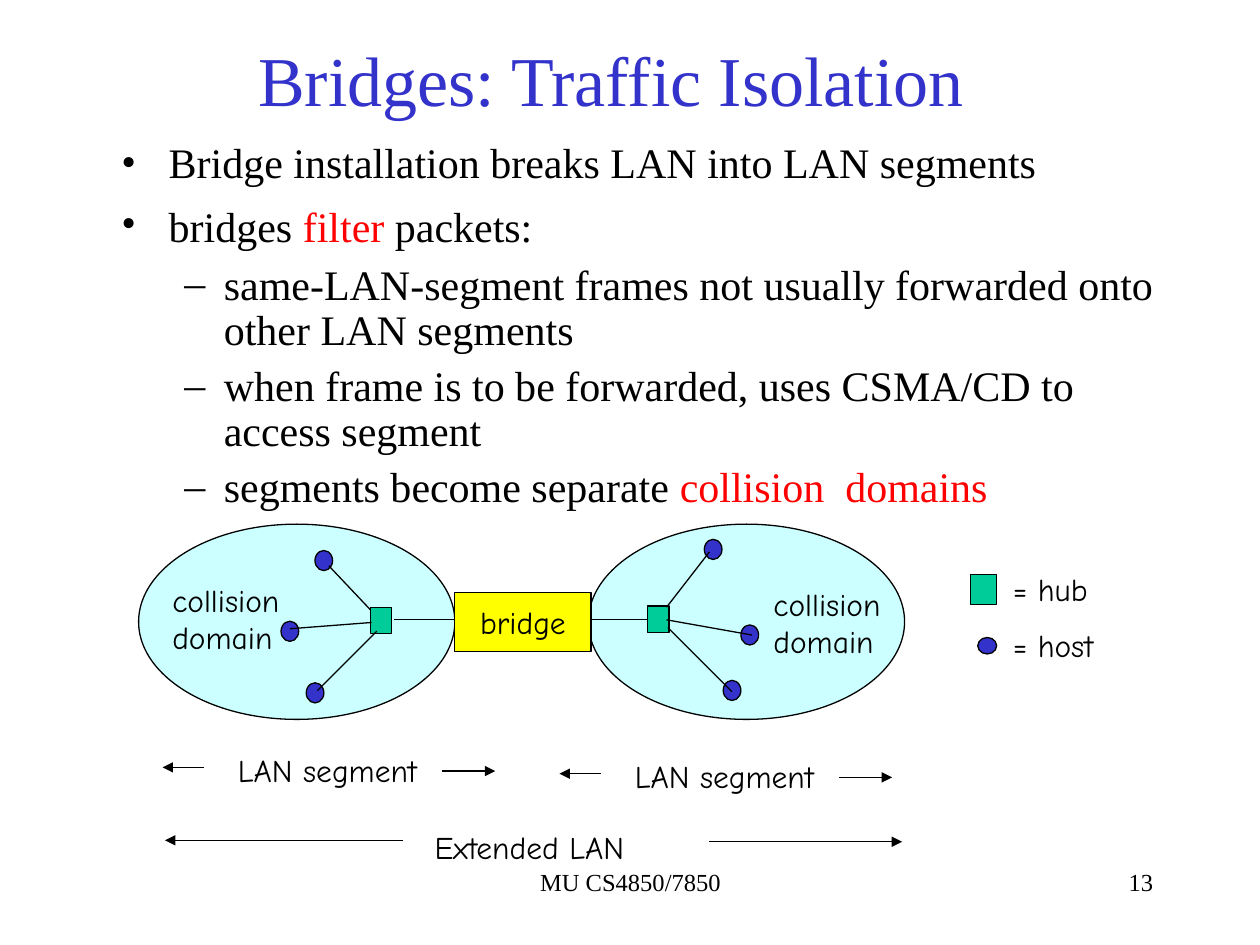
from lxml.etree import SubElement
from pptx import Presentation
from pptx.dml.color import RGBColor
from pptx.enum.shapes import MSO_CONNECTOR, MSO_SHAPE
from pptx.enum.text import MSO_ANCHOR, PP_ALIGN
from pptx.oxml.ns import qn
from pptx.util import Pt

COLORS = {
    "black": "000000",
    "title": "3333CC",
    "accent": "FF0000",
    "domain": "CCFFFF",
    "bridge": "FFFF00",
    "hub": "00CC99",
    "host": "3333CC",
}
SERIF = "Times New Roman"
SKETCH = "Comic Neue"

HUB_SIZE = (12.2, 15.1)
HOST_SIZE = (10.1, 11.5)

# Each bullet: level, space before, runs of (text, colour, size)
BULLETS = [
    (0, 6, [("Bridge installation breaks LAN into LAN segments", "black", 24)]),
    (0, 7, [("bridges ", "black", 24), ("filter", "accent", 24),
            (" packets:", "black", 24), (" ", "black", 28)]),
    (1, 6, [("same-LAN-segment frames not usually forwarded onto "
             "other LAN segments", "black", 24)]),
    (1, 6, [("when frame is to be forwarded, uses CSMA/CD to "
             "access segment", "black", 24)]),
    (1, 6, [("segments become separate ", "black", 24),
            ("collision  domains", "accent", 24)]),
]
# Bullet character, left margin and hanging indent by level
BULLET_STYLES = [("•", 27, -27), ("–", 58.5, -22.5)]

# Each segment: domain left, hub corner, bridge link, caption corner,
# host corners and the cables from hub to host
SEGMENTS = [
    {
        "domain": 79.2,
        "hub": (211.7, 347),
        "link": (225.4, 354.2, 259.2, 354.2),
        "caption": (91.4, 328.3),
        "hosts": [(180, 314.6), (160.6, 355), (175, 390.2)],
        "cables": [(211.7, 348.5, 187.9, 323.3),
                   (212.4, 355.7, 165.6, 359.3),
                   (215.3, 360.7, 181.4, 394.6)],
    },
    {
        "domain": 336.2,
        "hub": (370.1, 346.3),
        "link": (338.4, 354.2, 370.1, 354.2),
        "caption": (434.9, 330.5),
        "hosts": [(402.5, 308.2), (423.4, 357.1), (413.3, 388.8)],
        "cables": [(380.9, 347, 405.4, 315.4),
                   (380.9, 354.2, 429.8, 362.9),
                   (381.6, 358.6, 418.3, 395.3)],
    },
]


def rgb(name):
    return RGBColor.from_string(COLORS[name])


def style_run(run, font, size, color):
    run.font.name = font
    run.font.size = Pt(size)
    run.font.color.rgb = rgb(color)


def add_label(slide, text, box, size=18, font=SKETCH, color="black",
              align=PP_ALIGN.LEFT, anchor=MSO_ANCHOR.TOP, wrap=False):
    label = slide.shapes.add_textbox(*map(Pt, box))
    frame = label.text_frame
    frame.text = text
    frame.word_wrap = wrap
    frame.vertical_anchor = anchor
    for paragraph in frame.paragraphs:
        paragraph.alignment = align
        for run in paragraph.runs:
            style_run(run, font, size, color)


def add_node(slide, preset, corner, size, color):
    node = slide.shapes.add_shape(preset, *map(Pt, (*corner, *size)))
    node.shadow.inherit = False
    node.fill.solid()
    node.fill.fore_color.rgb = rgb(color)
    node.line.color.rgb = rgb("black")
    node.line.width = Pt(0.75)
    return node


def add_line(slide, ends, arrow=False):
    line = slide.shapes.add_connector(MSO_CONNECTOR.STRAIGHT, *map(Pt, ends))
    line.line.color.rgb = rgb("black")
    line.line.width = Pt(0.75)
    if arrow:
        SubElement(line.line._get_or_add_ln(), qn("a:tailEnd"), type="triangle")
    SubElement(line._element.spPr, qn("a:effectLst"))


def add_bullets(slide):
    body = slide.shapes.add_textbox(Pt(62.3), Pt(78), Pt(620.6), Pt(228.2))
    frame = body.text_frame
    frame.word_wrap = True
    for index, (level, space, parts) in enumerate(BULLETS):
        paragraph = frame.add_paragraph() if index else frame.paragraphs[0]
        paragraph.level = level
        paragraph.line_spacing = 0.9
        paragraph.space_before = Pt(space)
        mark, margin, indent = BULLET_STYLES[level]
        properties = paragraph._p.get_or_add_pPr()
        properties.set("marL", str(Pt(margin)))
        properties.set("indent", str(Pt(indent)))
        mark_color = SubElement(properties, qn("a:buClr"))
        SubElement(mark_color, qn("a:srgbClr"), val=COLORS["black"])
        SubElement(properties, qn("a:buFont"), typeface=SERIF)
        SubElement(properties, qn("a:buChar"), char=mark)
        for text, color, size in parts:
            run = paragraph.add_run()
            run.text = text
            style_run(run, SERIF, size, color)


def add_bridge(slide):
    bridge = add_node(slide, MSO_SHAPE.RECTANGLE, (259.9, 338.4),
                      (77.8, 33.8), "bridge")
    frame = bridge.text_frame
    frame.text = "bridge"
    frame.word_wrap = False
    frame.vertical_anchor = MSO_ANCHOR.MIDDLE
    frame.paragraphs[0].alignment = PP_ALIGN.CENTER
    style_run(frame.paragraphs[0].runs[0], SKETCH, 18, "black")


def add_network(slide):
    for segment in SEGMENTS:
        add_node(slide, MSO_SHAPE.OVAL, (segment["domain"], 299.5),
                 (180.7, 111.6), "domain")
    add_bridge(slide)
    for segment in SEGMENTS:
        add_node(slide, MSO_SHAPE.RECTANGLE, segment["hub"], HUB_SIZE, "hub")
        for host in segment["hosts"]:
            add_node(slide, MSO_SHAPE.OVAL, host, HOST_SIZE, "host")
        for ends in [segment["link"], *segment["cables"]]:
            add_line(slide, ends)
        add_label(slide, "collision\ndomain", (*segment["caption"], 81.4, 50.4))


def add_legend(slide):
    add_node(slide, MSO_SHAPE.RECTANGLE, (554.4, 328.3), (15.1, 17.3), "hub")
    add_node(slide, MSO_SHAPE.OVAL, (558.7, 364.3), (10.8, 9.4), "host")
    # Both labels are wide enough to stay on one line
    for text, top in [("= hub", 322.2), ("= host", 354.2)]:
        add_label(slide, text, (571.7, top, 64, 28.8))


def add_extents(slide):
    # The second segment's extent repeats the first, shifted
    for dx, dy in [(0, 0), (226.8, 3.6)]:
        add_label(slide, "LAN segment", (128.9 + dx, 425.5 + dy, 116.6, 28.8))
        for x1, x2, y in [(252.7, 283, 440.6), (116.6, 92.9, 438.5)]:
            add_line(slide, (x1 + dx, y + dy, x2 + dx, y + dy), arrow=True)
    add_label(slide, "Extended LAN", (241.2, 469.4, 123.1, 28.8))
    for x1, x2, y in [(230.4, 94.3, 480.2), (405.4, 515.5, 481)]:
        add_line(slide, (x1, y, x2, y), arrow=True)


def main():
    deck = Presentation()
    deck.slide_width, deck.slide_height = Pt(720), Pt(540)
    slide = deck.slides.add_slide(deck.slide_layouts[6])

    # Footer
    add_label(slide, "MU CS4850/7850", (246.2, 491.8, 228.2, 36), 14, SERIF,
              align=PP_ALIGN.CENTER, wrap=True)
    add_label(slide, "13", (516.2, 491.8, 149.8, 36), 14, SERIF,
              align=PP_ALIGN.RIGHT, wrap=True)

    # Title and bullets
    add_label(slide, "Bridges: Traffic Isolation", (43.2, 0, 612, 90), 40,
              SERIF, "title", PP_ALIGN.CENTER, MSO_ANCHOR.MIDDLE, True)
    add_bullets(slide)

    # Diagram
    add_network(slide)
    add_legend(slide)
    add_extents(slide)

    deck.save("out.pptx")


if __name__ == "__main__":
    main()
